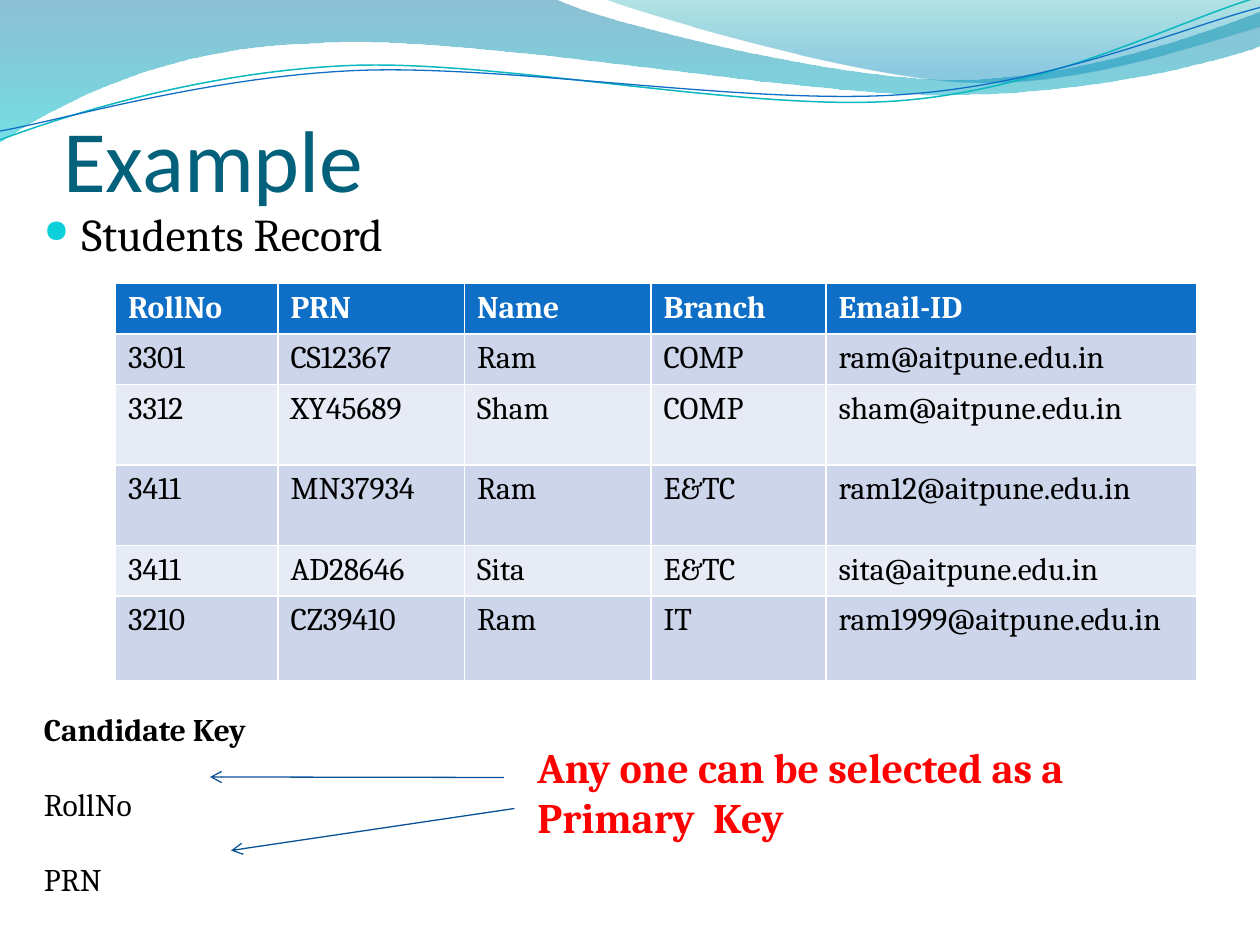
import math
from lxml import etree
from pptx import Presentation, util as u
from pptx.dml.color import RGBColor
from pptx.enum import shapes, text
from pptx.oxml.ns import qn

COLORS = {
    "title": "04617B", "ink": "000000", "white": "FFFFFF", "alert": "FF0000",
    "header": "0F6FC6", "band_dark": "CCD5EA", "band_light": "E7EBF5",
    "bullet": "0BD0D9", "arrow": "095295", "teal_line": "0AB8BF",
    "deep": "0074A1", "aqua": "00C6CF", "green": "00A1A9", "sky": "008BBF",
}
COLUMNS, ROWS = 120, 90


def rgb(name):
    """Return the palette colour as an RGBColor."""
    return RGBColor.from_string(COLORS[name])


def sub(parent, tag, **attrs):
    """Append a DrawingML element with the given attributes."""
    return etree.SubElement(parent, qn(tag), {k: str(v) for k, v in attrs.items()})


def write(p, content, size=18, color="ink", bold=False, font="Cambria", before=0):
    """Put formatted text in a paragraph."""
    p.alignment = text.PP_ALIGN.LEFT
    if before:
        p.space_before = u.Pt(before)
    r = p.add_run()
    r.text = content
    r.font.name, r.font.size, r.font.bold = font, u.Pt(size), bold
    r.font.color.rgb = rgb(color)


def turn(point, center, degrees):
    """Rotate a point clockwise around a center."""
    a = math.radians(degrees)
    dx, dy = point[0] - center[0], point[1] - center[1]
    return (center[0] + dx * math.cos(a) - dy * math.sin(a),
            center[1] + dx * math.sin(a) + dy * math.cos(a))


class Deck:
    """Hold the style, the grid and the current slide."""

    def __init__(self):
        """Start a presentation with one title-only slide."""
        self.prs = Presentation()
        self.prs.slide_width, self.prs.slide_height = u.Inches(10), u.Inches(7.5)
        self.s = self.prs.slides.add_slide(self.prs.slide_layouts[5])

    def x(self, columns):
        """Convert grid columns to a length."""
        return u.Emu(round(self.prs.slide_width * columns / COLUMNS))

    def y(self, rows):
        """Convert grid rows to a length."""
        return u.Emu(round(self.prs.slide_height * rows / ROWS))

    def box(self, left, top, width, height):
        """Convert a grid rectangle to lengths."""
        return self.x(left), self.y(top), self.x(width), self.y(height)

    def outline(self, start, segments, closed=False, center=(0, 0), rotation=0):
        """Draw lines (2 numbers) and Bezier curves (6 numbers) on the master."""
        pairs = [start] + [seg[i:i + 2] for seg in segments for i in range(0, len(seg), 2)]
        pts = [tuple(u.Inches(v) for v in turn(p, center, -rotation)) for p in pairs]
        builder = self.s.shapes.build_freeform(*pts[0])
        builder.add_line_segments(pts[1:], close=closed)
        sp = builder.convert_to_shape()
        sp.shadow.inherit = False
        sp.rotation = rotation
        nodes = iter(list(sp._element.iter(qn("a:lnTo"))))
        for seg in segments:
            node = next(nodes)
            if len(seg) == 6:
                bezier = etree.Element(qn("a:cubicBezTo"))
                node.addprevious(bezier)
                for part in (node, next(nodes), next(nodes)):
                    bezier.append(part[0])
                    part.getparent().remove(part)
        tree = self.prs.slide_master.shapes._spTree
        sp._element.nvSpPr.cNvPr.set("id", str(100 + len(tree)))
        tree.append(sp._element)
        return sp

    def wave(self, start, segments, stops):
        """Draw a wave filled with a see-through vertical gradient."""
        sp = self.outline(start, segments, closed=True)
        sp.line.fill.background()
        sp.fill.gradient()
        sp.fill.gradient_angle = 270
        for stop, (position, color, _) in zip(sp.fill.gradient_stops, stops):
            stop.position = position
            stop.color.rgb = rgb(color)
        for clr, (_, _, alpha) in zip(sp._element.iter(qn("a:srgbClr")), stops):
            sub(clr, "a:alpha", val=alpha * 1000)

    def ripple(self, start, segments, center, color, width):
        """Draw an open curved line, slightly turned."""
        sp = self.outline(start, segments, center=center, rotation=357.3)
        sp.fill.background()
        sp.line.color.rgb, sp.line.width = rgb(color), u.Pt(width)

    def title(self, content, *area):
        """Place and format the title."""
        sp = self.s.shapes.title
        sp.left, sp.top, sp.width, sp.height = self.box(*area)
        tf = sp.text_frame
        tf.margin_left = tf.margin_right = tf.margin_bottom = 0
        tf.margin_top = u.Inches(0.05)
        tf.vertical_anchor = text.MSO_ANCHOR.BOTTOM
        write(tf.paragraphs[0], content, size=50, color="title", font="Calibri")

    def text(self, *area):
        """Add a wrapping text box and return its text frame."""
        tf = self.s.shapes.add_textbox(*self.box(*area)).text_frame
        tf.word_wrap = True
        return tf

    def bullet(self, content, *area):
        """Add a bulleted line."""
        p = self.text(*area).paragraphs[0]
        indent = u.Inches(0.3)
        pPr = p._p.get_or_add_pPr()
        pPr.set("marL", str(indent))
        pPr.set("indent", str(-indent))
        sub(sub(pPr, "a:buClr"), "a:srgbClr", val=COLORS["bullet"])
        sub(pPr, "a:buSzPct", val=70000)
        sub(pPr, "a:buChar", char="●")
        write(p, content, size=26)

    def table(self, data, widths, heights, *area):
        """Add a banded table."""
        table = self.s.shapes.add_table(len(data), len(data[0]), *self.box(*area)).table
        for column, width in zip(table.columns, widths):
            column.width = u.Inches(width)
        for i, (values, height) in enumerate(zip(data, heights)):
            table.rows[i].height = u.Inches(height)
            head = i == 0
            fill = "header" if head else ("band_light", "band_dark")[i % 2]
            for j, value in enumerate(values):
                cell = table.cell(i, j)
                cell.fill.solid()
                cell.fill.fore_color.rgb = rgb(fill)
                write(cell.text_frame.paragraphs[0], value, bold=head,
                      color="white" if head else "ink")

    def arrow(self, x1, y1, x2, y2):
        """Draw a thin arrow between two grid points."""
        line = self.s.shapes.add_connector(
            shapes.MSO_CONNECTOR.STRAIGHT, self.x(x1), self.y(y1), self.x(x2), self.y(y2))
        line.line.color.rgb, line.line.width = rgb("arrow"), u.Pt(0.75)
        sub(line.line._get_or_add_ln(), "a:tailEnd", type="arrow")
        sub(line._element.spPr, "a:effectLst")


def main():
    """Build and save the slide."""
    deck = Deck()
    deck.wave((0, 0), [(4.4, -0.01), (4.76, 0.17, 6.64, 0.63, 7.58, 0.63),
                       (8.53, 0.63, 9.58, 0.26, 10, 0.09), (10.01, 0.36),
                       (9.83, 0.44, 8.7, 0.76, 7.46, 0.75),
                       (6.22, 0.75, 3.82, 0.28, 2.57, 0.34),
                       (1.29, 0.36, 0.46, 0.83, -0.01, 1.13), (0, 0)],
              [(0, "deep", 45), (1, "aqua", 55)])
    deck.wave((4.79, -0.01), [(5.09, 0.11, 6.82, 0.62, 7.69, 0.65),
                              (8.56, 0.69, 9.61, 0.32, 10, 0.21),
                              (10, 0), (4.79, -0.01)],
              [(0, "green", 30), (0.8, "sky", 45)])
    deck.ripple((0, 1.11), [(0.48, 0.93, 1.58, 0.57, 2.77, 0.52),
                            (3.95, 0.47, 5.93, 0.89, 7.13, 0.8),
                            (8.33, 0.71, 9.38, 0.15, 9.98, -0.02)],
                (4.99, 0.58), "teal_line", 0.85)
    deck.ripple((0, 1.04), [(0.47, 0.96, 1.64, 0.61, 2.83, 0.56),
                            (4.03, 0.51, 5.97, 0.84, 7.17, 0.75),
                            (8.36, 0.67, 9.41, 0.21, 10, 0.06)],
                (5, 0.59), "header", 0.75)
    deck.title("Example", 6, 9.2, 108, 10.8)
    deck.bullet("Students Record", 3, 19, 111, 64)
    students = [
        ("RollNo", "PRN", "Name", "Branch", "Email-ID"),
        ("3301", "CS12367", "Ram", "COMP", "ram@aitpune.edu.in"),
        ("3312", "XY45689", "Sham", "COMP", "sham@aitpune.edu.in"),
        ("3411", "MN37934", "Ram", "E&TC", "ram12@aitpune.edu.in"),
        ("3411", "AD28646", "Sita", "E&TC", "sita@aitpune.edu.in"),
        ("3210", "CZ39410", "Ram", "IT", "ram1999@aitpune.edu.in"),
    ]
    deck.table(students, (1.29, 1.48, 1.48, 1.39, 2.94),
               (0.38, 0.38, 0.64, 0.64, 0.38, 0.67), 11, 27, 103, 37.7)
    keys = deck.text(3, 67, 37, 23)
    write(keys.paragraphs[0], "Candidate Key", bold=True)
    for key in ("RollNo", "PRN"):
        write(keys.add_paragraph(), key, before=21.5)
    note = deck.text(50, 70, 55, 11)
    write(note.paragraphs[0], "Any one can be selected as a Primary  Key",
          size=24, color="alert", bold=True)
    deck.arrow(48, 74.05, 20, 74)
    deck.arrow(49, 77, 22, 81)
    deck.prs.save("out.pptx")


if __name__ == "__main__":
    main()
